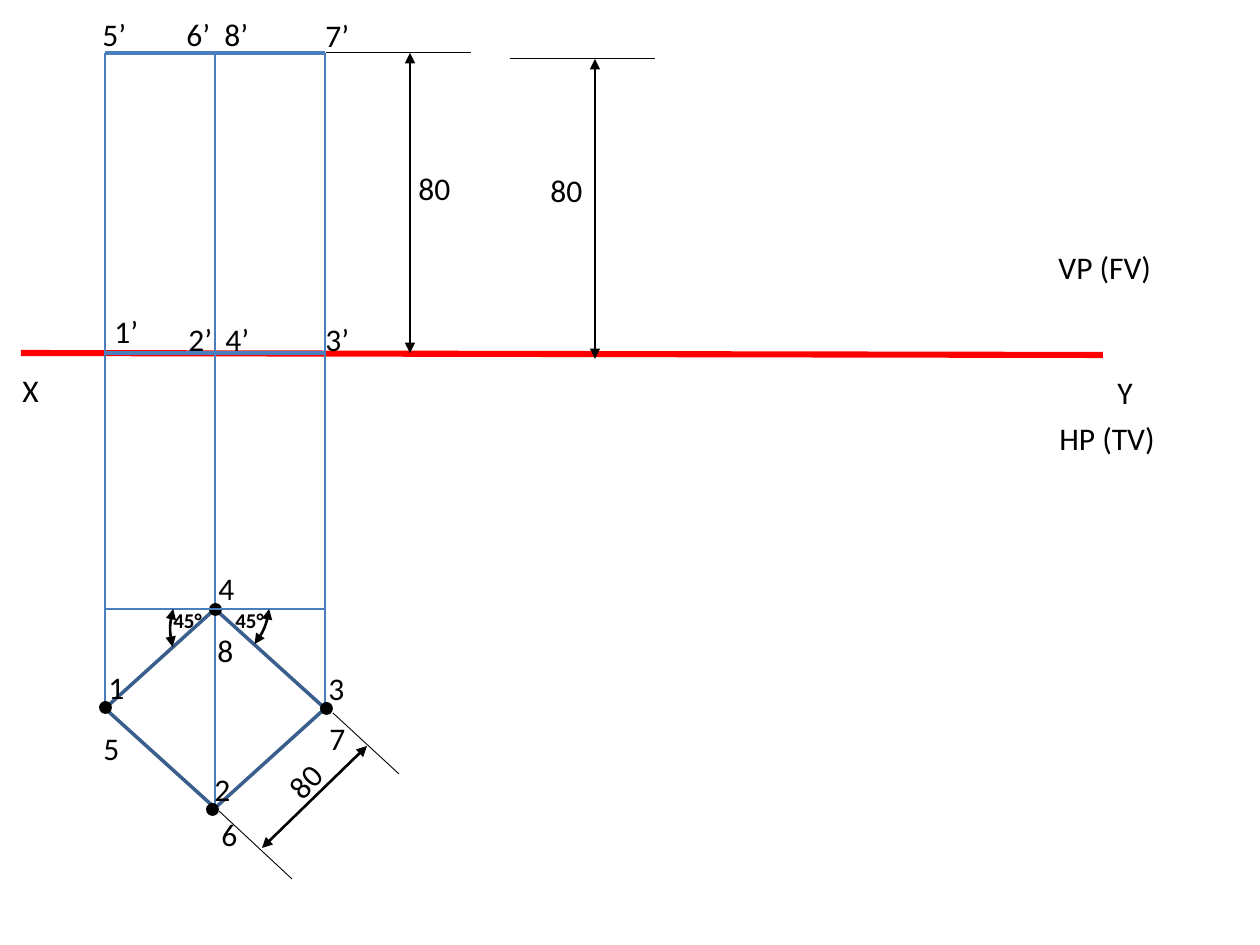
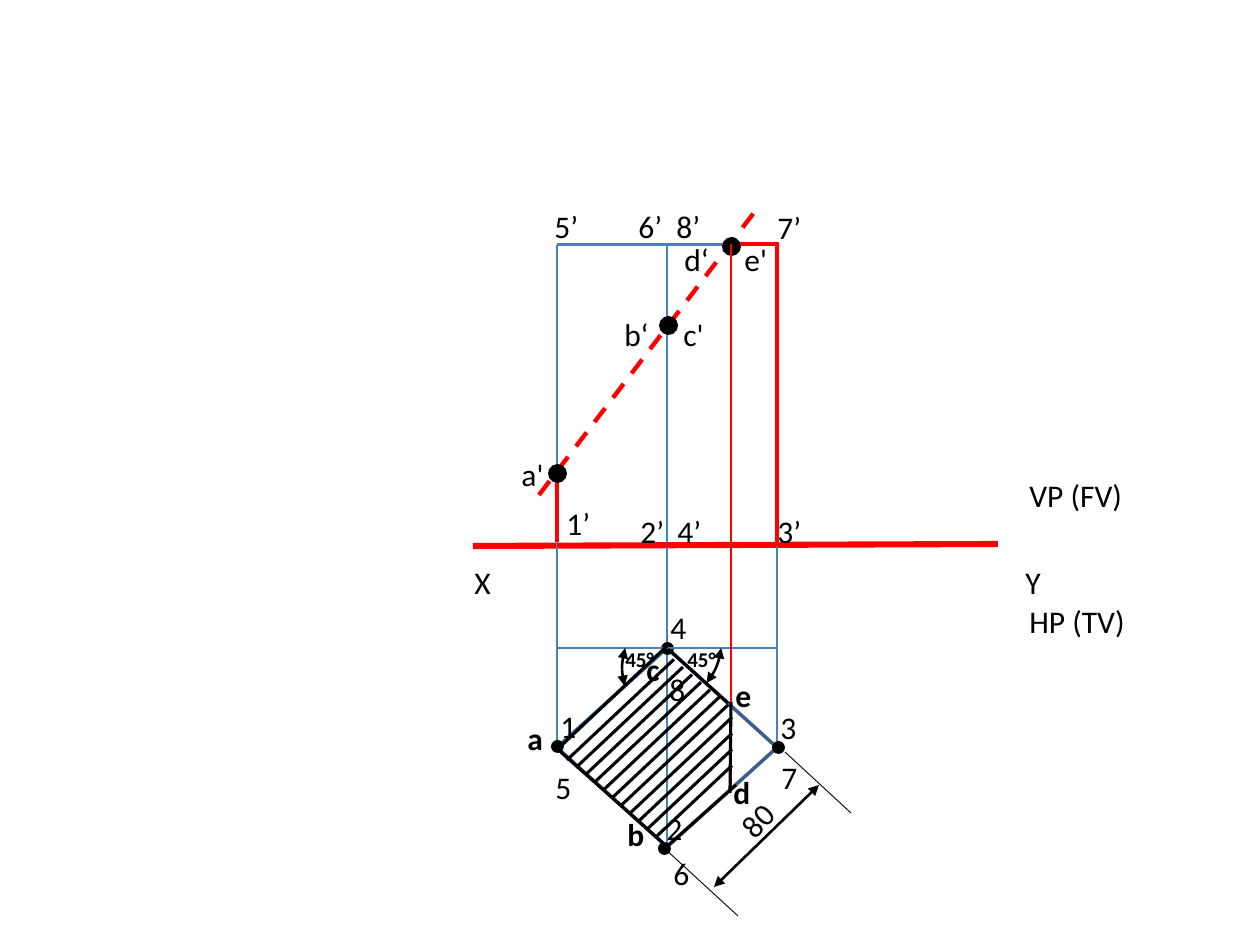
from pptx import Presentation
from pptx.dml.color import RGBColor
from pptx.enum.dml import MSO_LINE_DASH_STYLE as Dash
from pptx.enum.shapes import MSO_CONNECTOR as Link, MSO_SHAPE as Form
from pptx.enum.text import MSO_AUTO_SIZE as Auto
from pptx.oxml.ns import qn
from pptx.util import Pt
from lxml.etree import SubElement

PX = 914400 / 126
BLACK = RGBColor(0x00, 0x00, 0x00)
RED = RGBColor(0xFF, 0x00, 0x00)
BLUE = RGBColor(0x4B, 0x7E, 0xBC)
NAVY = RGBColor(0x3A, 0x5F, 0x8C)
FONT = "Calibri"

# Text widths in pixels at 18 points, rounded up; other signs take SIGN.
SIGN, INSET, TALL = 17, 25, 50
WIDTHS = {" ": 7, "(": 10, ")": 10, "’": 9, "‘": 13, "'": 12, "°": 12,
          "V": 18, "H": 20, "F": 15, "c": 15}

# The prism, shared by both slides: lines are x1, y1, x2, y2.
LEFT, MID, RIGHT = 105, 215, 325
TOP, BASE, LEVEL = 53, 353, 609
DIAMOND = (LEFT, LEVEL, 220, 199)
RAILS = [(LEFT, 712), (MID, 808), (RIGHT, 710)]
DOTS = [(99, 701), (206, 803), (320, 702), (209, 603)]
PLAN = [("1", 96, 662), ("5", 91, 723), ("2", 202, 764), ("6", 209, 809),
        ("3", 316, 663), ("7", 317, 713), ("4", 206, 563), ("8", 205, 625)]
FRONT = [("1’", 102, 306), ("2’", 176, 314), ("4’", 213, 314),
         ("3’", 313, 314), ("5’", 90, 9), ("6’", 174, 9),
         ("8’", 212, 9), ("7’", 313, 10)]
ARCS = [(158, 548, 37.9), (171, 561, 196.2)]
ANGLES = [("45°", 223, 601), ("45°", 161, 601)]
SIDE = (262, 848, 367, 746)
WITNESS = (333, 713, 399, 774)

# What differs: front and plan are the shifts of the two views.
VIEWS = [
    dict(front=(0, 0), plan=(0, 0), axis=(21, 353, 1103, 355), base=BLUE,
         ext=(219, 811, 292, 879),
         names=[("VP (FV)", 1046, 242), ("HP (TV)", 1047, 413),
                ("Y", 1105, 367), ("X", 10, 365)]),
    dict(front=(452, 192), plan=(452, 39), axis=(473, 546, 998, 544),
         base=RED, ext=(664, 848, 738, 916),
         names=[("VP (FV)", 1017, 470), ("HP (TV)", 1017, 596),
                ("Y", 1013, 557), ("X", 462, 557)]),
]

# Height dimensions: arrow x, top y, label place, witness line ends.
HEIGHTS = [(410, 53, 406, 163, 326, 471), (595, 59, 538, 165, 510, 655)]

# The cutting plane and the section it leaves.
CUT = (539, 495, 756, 210)
KEPT = [(779, 244, 733, 244), (777, 546, 777, 243), (557, 542, 557, 479)]
DROP = (731, 244, 731, 788)
POINTS = [(659, 316), (722, 237), (548, 464)]
MARKS = [("a'", 509, 449), ("b‘", 612, 309), ("c'", 671, 309),
         ("d‘", 672, 234), ("e'", 732, 234)]
CORNERS = [("a", 515, 713), ("b", 615, 809), ("c", 634, 644),
           ("e", 723, 670), ("d", 721, 767)]
EDGES = [(562, 745, 667, 646), (663, 843, 554, 746), (728, 703, 668, 649),
         (730, 793, 731, 702), (664, 849, 736, 785)]
HATCH = dict(count=11, x=567, y=760, dx=9, dy=7.6, run=107, slope=0.94,
             edge=732)


def emu(*sizes):
    """Turn pixels into EMU."""
    return [round(size * PX) for size in sizes]


def move(line, shift):
    """Shift a line by a view's offset."""
    dx, dy = shift
    return line[0] + dx, line[1] + dy, line[2] + dx, line[3] + dy


def arrows(item):
    """Put a triangle on both ends of a line."""
    line = item.line._get_or_add_ln()
    for end in ("a:headEnd", "a:tailEnd"):
        SubElement(line, qn(end), type="triangle")


def draw(slide, ends, color, width, heads=False, dash=False):
    """Draw a straight line."""
    item = slide.shapes.add_connector(Link.STRAIGHT, *emu(*ends))
    item.line.color.rgb = color
    item.line.width = Pt(width)
    if dash:
        item.line.dash_style = Dash.DASH
    if heads:
        arrows(item)
    SubElement(item._element.spPr, qn("a:effectLst"))


def shape(slide, form, box, fill=None, color=None, width=0):
    """Add a preset shape with the given fill and outline."""
    item = slide.shapes.add_shape(form, *emu(*box))
    item.shadow.inherit = False
    if fill is None:
        item.fill.background()
    else:
        item.fill.solid()
        item.fill.fore_color.rgb = fill
    if color is None:
        item.line.fill.background()
    else:
        item.line.color.rgb = color
        item.line.width = Pt(width)
    return item


def label(slide, text, x, y, size=18, bold=False, turn=0):
    """Write a one-line label as wide as its text."""
    wide = sum(WIDTHS.get(sign, SIGN) for sign in text) * size / 18 + INSET
    tall = TALL if size == 18 else 38
    box = slide.shapes.add_textbox(*emu(x, y, wide, tall))
    box.rotation = turn
    frame = box.text_frame
    frame.word_wrap = False
    frame.auto_size = Auto.SHAPE_TO_FIT_TEXT
    frame.text = text
    font = frame.paragraphs[0].runs[0].font
    font.name, font.size, font.bold = FONT, Pt(size), bold
    font.color.rgb = BLACK


def labels(slide, items, shift=(0, 0), **style):
    """Write a list of labels."""
    for text, x, y in items:
        label(slide, text, x + shift[0], y + shift[1], **style)


def dots(slide, places, size, shift=(0, 0)):
    """Draw round black points."""
    for x, y in places:
        shape(slide, Form.OVAL, (x + shift[0], y + shift[1], size, size),
              BLACK)


def prism(slide, view):
    """Draw the axis, the front view and the plan of the prism."""
    front, plan = view["front"], view["plan"]
    dx, dy = plan
    labels(slide, view["names"])
    draw(slide, view["axis"], RED, 3.5)
    x, y, wide, tall = DIAMOND
    shape(slide, Form.DIAMOND, (x + dx, y + dy, wide, tall), None, NAVY, 2)
    for x, y in RAILS:
        draw(slide, (x + dx, TOP + front[1], x + dx, y + dy), BLUE, 1.5)
    labels(slide, PLAN, plan)
    dots(slide, DOTS, 13, plan)
    draw(slide, move((LEFT, TOP, RIGHT, TOP), front), BLUE, 1.75)
    draw(slide, move((LEFT, LEVEL, RIGHT, LEVEL), plan), BLUE, 1.5)
    for x, y, turn in ARCS:
        arc = shape(slide, Form.ARC, (x + dx, y + dy, 108, 126), None,
                    BLACK, 1.5)
        arc.adjustments[0] = 192.144
        arc.rotation = turn
        arrows(arc)
    labels(slide, ANGLES, plan, size=12, bold=True)
    draw(slide, view["ext"], BLACK, 0.5)
    draw(slide, move(WITNESS, plan), BLACK, 0.5)
    draw(slide, move(SIDE, plan), BLACK, 1.5, heads=True)
    label(slide, "80", 276 + dx, 755 + dy, turn=314)
    draw(slide, move((LEFT, BASE, RIGHT, BASE), front), view["base"], 1.75)
    labels(slide, FRONT, front)


def heights(slide):
    """Draw the height dimensions."""
    for x, y, tx, ty, start, end in HEIGHTS:
        draw(slide, (x, y, x, y + BASE - TOP), BLACK, 1.5, heads=True)
        label(slide, "80", tx, ty)
        draw(slide, (start, y - 1, end, y - 1), BLACK, 0.5)


def hatch(slide):
    """Fill the section with slanted lines that stop at its right edge."""
    for i in range(HATCH["count"]):
        x = HATCH["x"] + i * HATCH["dx"]
        y = HATCH["y"] + i * HATCH["dy"]
        run = min(HATCH["run"], HATCH["edge"] - x)
        draw(slide, (x, y, x + run, y - run * HATCH["slope"]), BLACK, 1.75)


def section(slide):
    """Draw the cutting plane, its points and the hatched section."""
    draw(slide, CUT, RED, 2.5, dash=True)
    for line in KEPT:
        draw(slide, line, RED, 2.5)
    dots(slide, POINTS, 19)
    labels(slide, MARKS)
    draw(slide, DROP, RED, 1.5)
    labels(slide, CORNERS, bold=True)
    for line in EDGES:
        draw(slide, line, BLACK, 1.75)
    hatch(slide)


deck = Presentation()
deck.slide_width, deck.slide_height = emu(1260, 945)
for view, extra in zip(VIEWS, (heights, section)):
    page = deck.slides.add_slide(deck.slide_layouts[6])
    prism(page, view)
    extra(page)
deck.save("out.pptx")
